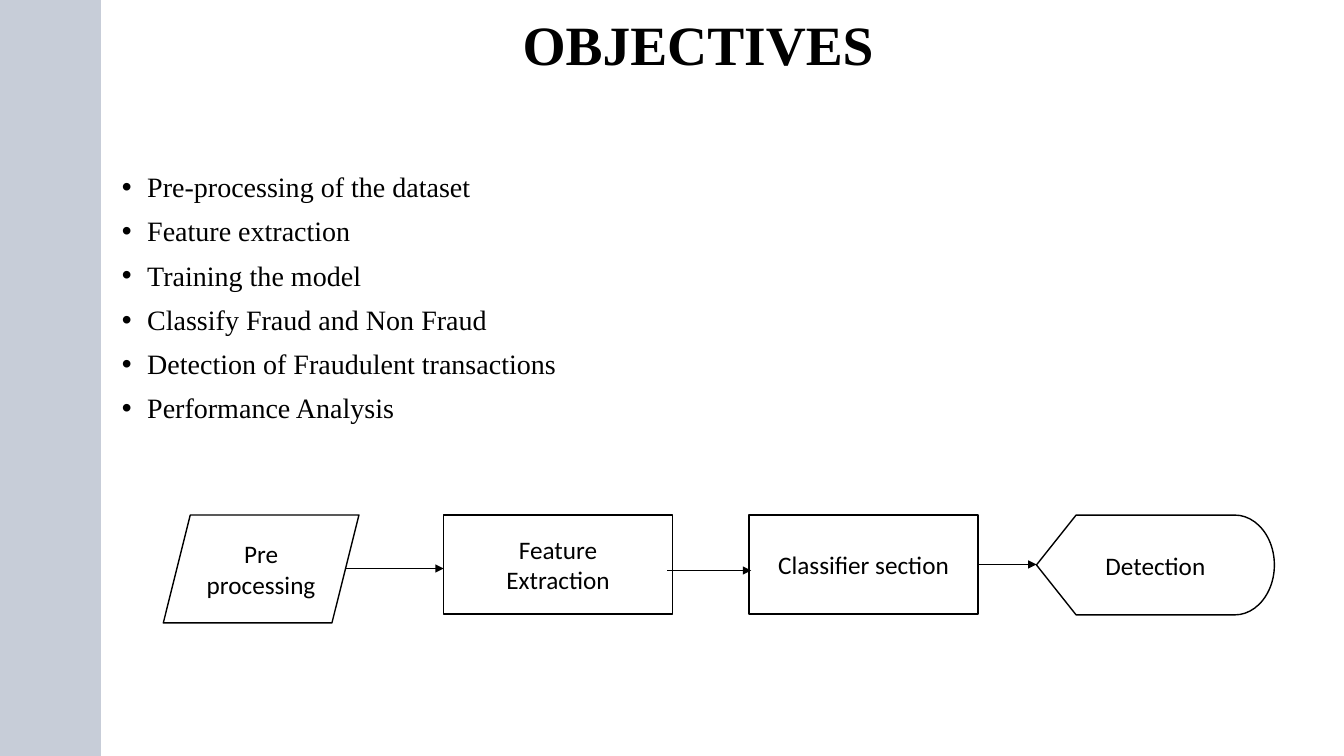
"""Build the objectives slide: a wavy side band, a bullet list and a process flow."""
from lxml import etree
from pptx import Presentation
from pptx import util as u
from pptx.dml.color import RGBColor
from pptx.enum import shapes, text
from pptx.oxml.ns import qn

WIDTH, HEIGHT = 13.33, 7.5
BLACK = RGBColor(0x00, 0x00, 0x00)
WHITE = RGBColor(0xFF, 0xFF, 0xFF)
BAND = RGBColor(0xC7, 0xCD, 0xD8)
SERIF, SANS = "Times New Roman", "Calibri"

TITLE = "OBJECTIVES"
OBJECTIVES = [
    "Pre-processing of the dataset",
    "Feature extraction",
    "Training the model",
    "Classify Fraud and Non Fraud",
    "Detection of Fraudulent transactions",
    "Performance Analysis",
]
FLOW_TOP = 5.11
STEPS = [
    (shapes.MSO_SHAPE.PARALLELOGRAM, 1.62, 1.94, 1.07, ["Pre", "processing"]),
    (shapes.MSO_SHAPE.RECTANGLE, 4.4, 2.27, 0.98, ["Feature", "Extraction"]),
    (shapes.MSO_SHAPE.RECTANGLE, 7.43, 2.27, 0.98, ["Classifier section"]),
    (shapes.MSO_SHAPE.FLOWCHART_DISPLAY, 10.28, 2.36, 0.99, ["Detection"]),
]
ARROWS = [(3.42, 4.4, 5.64), (6.62, 7.45, 5.66), (9.7, 10.28, 5.6)]
WAVE_PERIOD = 1.5
HALF_WAVE = [
    (0.78, 0), (0.78, 0.07), (0.79, 0.14), (0.8, 0.2), (0.81, 0.25),
    (0.83, 0.29), (0.85, 0.33), (0.87, 0.38), (0.89, 0.42), (0.91, 0.46),
    (0.93, 0.5), (0.95, 0.55), (0.96, 0.61), (0.97, 0.68), (0.97, 0.75),
]


def place(shape, left, top, width, height):
    shape.left, shape.top = u.Inches(left), u.Inches(top)
    shape.width, shape.height = u.Inches(width), u.Inches(height)


def write(shape, lines, *, size, font, align, anchor, bold=False, spacing=1.0, before=0):
    frame = shape.text_frame
    frame.word_wrap = True
    frame.auto_size = text.MSO_AUTO_SIZE.NONE
    frame.vertical_anchor = anchor
    for index, line in enumerate(lines):
        paragraph = frame.paragraphs[0] if index == 0 else frame.add_paragraph()
        paragraph.alignment = align
        paragraph.line_spacing = spacing
        paragraph.space_before = u.Pt(before if index else 0)
        run = paragraph.add_run()
        run.text = line
        run.font.size, run.font.name, run.font.bold = u.Pt(size), font, bold
        run.font.color.rgb = BLACK


def add_bullets(shape):
    for paragraph in shape.text_frame.paragraphs:
        properties = paragraph._p.get_or_add_pPr()
        properties.set("marL", str(u.Inches(0.25)))
        properties.set("indent", str(-u.Inches(0.25)))
        etree.SubElement(properties, qn("a:buFont"), typeface="Arial")
        etree.SubElement(properties, qn("a:buChar"), char="•")


def add_band(slide):
    wave = HALF_WAVE + [(x, WAVE_PERIOD - y) for x, y in reversed(HALF_WAVE[:-1])]
    edge = [(x, y + period * WAVE_PERIOD)
            for period in range(round(HEIGHT / WAVE_PERIOD)) for x, y in wave]
    builder = slide.shapes.build_freeform(0, 0, scale=u.Inches(1))
    builder.add_line_segments(edge + [(0, HEIGHT)], close=True)
    band = builder.convert_to_shape()
    band.shadow.inherit = False
    band.fill.solid()
    band.fill.fore_color.rgb = BAND
    band.line.fill.background()


def add_step(slide, kind, left, width, height, lines):
    step = slide.shapes.add_shape(
        kind, *map(u.Inches, (left, FLOW_TOP, width, height)))
    step.shadow.inherit = False
    step.fill.solid()
    step.fill.fore_color.rgb = WHITE
    step.line.color.rgb = BLACK
    step.line.width = u.Pt(1)
    write(step, lines, size=18, font=SANS, align=text.PP_ALIGN.CENTER,
          anchor=text.MSO_ANCHOR.MIDDLE)


def add_arrow(slide, start, end, level):
    arrow = slide.shapes.add_connector(
        shapes.MSO_CONNECTOR.STRAIGHT, *map(u.Inches, (start, level, end, level)))
    arrow.line.color.rgb = BLACK
    arrow.line.width = u.Pt(0.5)
    etree.SubElement(arrow.line._get_or_add_ln(), qn("a:tailEnd"), type="triangle")
    etree.SubElement(arrow._element.spPr, qn("a:effectLst"))


def main():
    presentation = Presentation()
    presentation.slide_width = u.Inches(WIDTH)
    presentation.slide_height = u.Inches(HEIGHT)
    slide = presentation.slides.add_slide(presentation.slide_layouts[1])
    slide.background.fill.solid()
    slide.background.fill.fore_color.rgb = WHITE

    title, body = slide.placeholders
    place(title, 1.05, 0.13, 11.75, 0.69)
    write(title, [TITLE], size=39.6, font=SERIF, bold=True, spacing=0.9,
          align=text.PP_ALIGN.CENTER, anchor=text.MSO_ANCHOR.MIDDLE)
    add_band(slide)
    place(body, 1.11, 1.18, 11.62, 5.74)
    write(body, OBJECTIVES, size=20, font=SERIF, spacing=0.9, before=10,
          align=text.PP_ALIGN.JUSTIFY, anchor=text.MSO_ANCHOR.TOP)
    body.text_frame.margin_top = u.Inches(0.54)
    add_bullets(body)

    for step in STEPS:
        add_step(slide, *step)
    for arrow in ARROWS:
        add_arrow(slide, *arrow)
    presentation.save("out.pptx")


if __name__ == "__main__":
    main()
